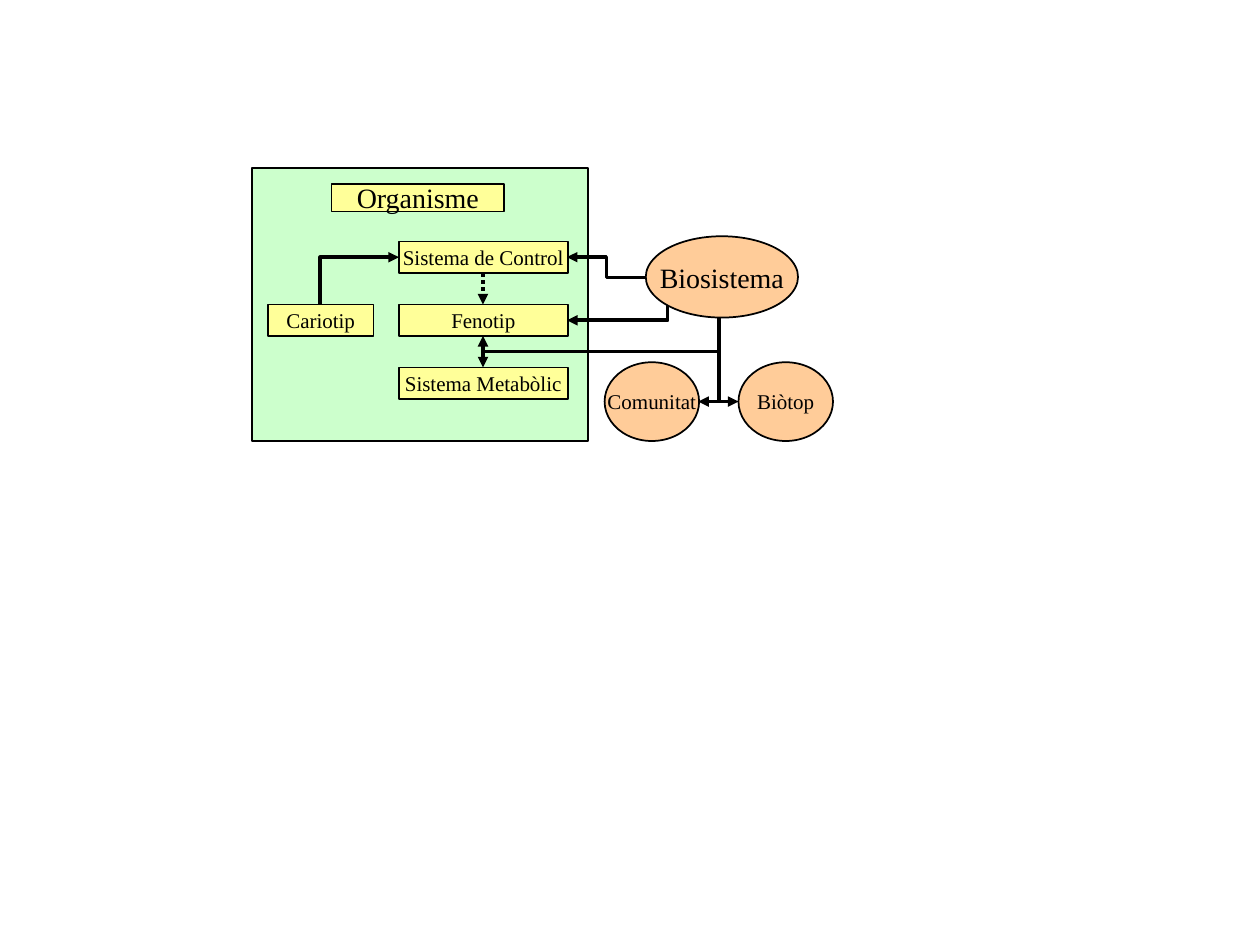
from lxml.etree import SubElement
from pptx import Presentation
from pptx.dml.color import RGBColor
from pptx.enum.dml import MSO_LINE
from pptx.enum.shapes import MSO_CONNECTOR as CONNECTOR, MSO_SHAPE as SHAPE
from pptx.enum.text import MSO_ANCHOR, PP_ALIGN
from pptx.oxml.ns import qn
from pptx.util import Pt

GREEN, YELLOW, ORANGE, BLACK = "CCFFCC", "FFFF99", "FFCC99", "000000"

presentation = Presentation()
presentation.slide_width, presentation.slide_height = Pt(720), Pt(540)
slide = presentation.slides.add_slide(presentation.slide_layouts[6])


def color(value):
    return RGBColor.from_string(value)


def add_node(kind, fill, left, top, width, height, text="", size=12):
    shape = slide.shapes.add_shape(kind, Pt(left), Pt(top), Pt(width), Pt(height))
    shape.shadow.inherit = False
    shape.fill.solid()
    shape.fill.fore_color.rgb = color(fill)
    shape.line.color.rgb = color(BLACK)
    shape.line.width = Pt(1)
    if text:
        frame = shape.text_frame
        frame.text = text
        frame.word_wrap = False
        frame.vertical_anchor = MSO_ANCHOR.MIDDLE
        paragraph = frame.paragraphs[0]
        paragraph.alignment = PP_ALIGN.CENTER
        font = paragraph.runs[0].font
        font.name, font.size = "Times New Roman", Pt(size)
        font.color.rgb = color(BLACK)


# Organism panel and its boxes
add_node(SHAPE.RECTANGLE, GREEN, 144, 96, 192, 156)
add_node(SHAPE.RECTANGLE, YELLOW, 189.5, 105, 98.5, 16, "Organisme", 16)
for row, label in enumerate(["Sistema de Control", "Fenotip", "Sistema Metabòlic"]):
    add_node(SHAPE.RECTANGLE, YELLOW, 228, 138 + 36 * row, 96.5, 18, label)
add_node(SHAPE.RECTANGLE, YELLOW, 153, 174, 60.5, 18, "Cariotip")

# Environment ellipses
for left, label in [(422, "Biòtop"), (345.5, "Comunitat")]:
    add_node(SHAPE.OVAL, ORANGE, left, 207, 54, 45, label)

# Arrows: start, end, preset, leaves vertically, position of the middle bend
hub = (411, 180)
arrows = [
    ((183, 174), (228, 147), "bentConnector2", True, None),
    ((276, 156), (276, 174), "line", False, None),
    ((381.5, 173.5), (324, 183), "bentConnector2", True, None),
    (hub, (422, 229.5), "bentConnector2", True, None),
    (hub, (399, 229.5), "bentConnector2", True, None),
    (hub, (276, 192), "bentConnector3", True, 1.75),
    (hub, (276, 210), "bentConnector3", True, 0.7),
    ((369, 158.5), (324, 147), "bentConnector3", False, 0.5),
]
for (x1, y1), (x2, y2), preset, vertical, bend in arrows:
    # A vertical start is a horizontal one turned by 90 degrees about its centre
    across, down = (y2 - y1, x1 - x2) if vertical else (x2 - x1, y2 - y1)
    middle_x, middle_y = (x1 + x2) / 2, (y1 + y2) / 2
    kind = CONNECTOR.STRAIGHT if preset == "line" else CONNECTOR.ELBOW
    connector = slide.shapes.add_connector(
        kind,
        Pt(middle_x - across / 2), Pt(middle_y - down / 2),
        Pt(middle_x + across / 2), Pt(middle_y + down / 2))
    connector.line.color.rgb = color(BLACK)
    connector.line.width = Pt(2)
    if preset == "line":
        connector.line.dash_style = MSO_LINE.ROUND_DOT
    properties = connector._element.spPr
    if vertical:
        properties.find(qn("a:xfrm")).set("rot", str(90 * 60000))
    geometry = properties.find(qn("a:prstGeom"))
    geometry.set("prst", preset)
    if bend is not None:
        guide = SubElement(geometry.find(qn("a:avLst")), qn("a:gd"))
        guide.set("name", "adj1")
        guide.set("fmla", f"val {round(bend * 100000)}")
    SubElement(properties.find(qn("a:ln")), qn("a:tailEnd")).set("type", "triangle")
    SubElement(properties, qn("a:effectLst"))

# Biosystem covers the start of the arrows
add_node(SHAPE.OVAL, ORANGE, 369, 135, 87, 46.5, "Biosistema", 16)

presentation.save("out.pptx")
